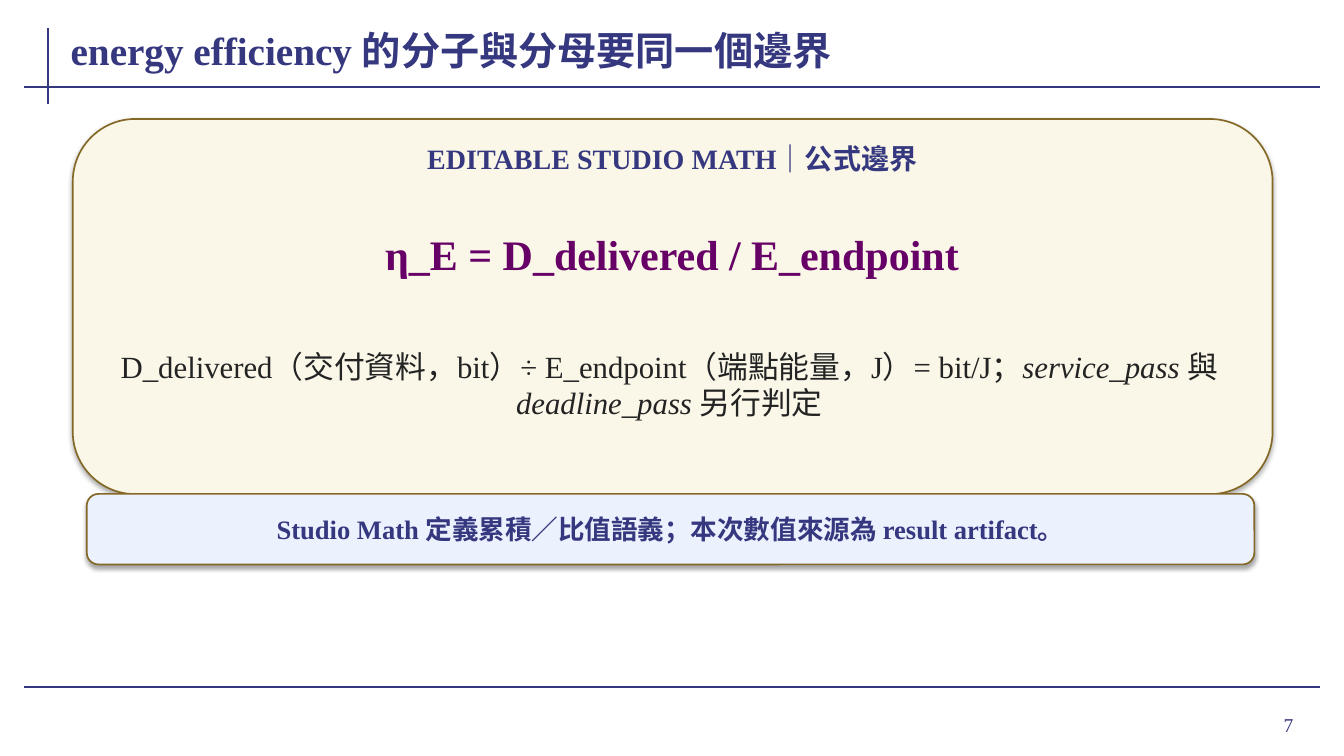
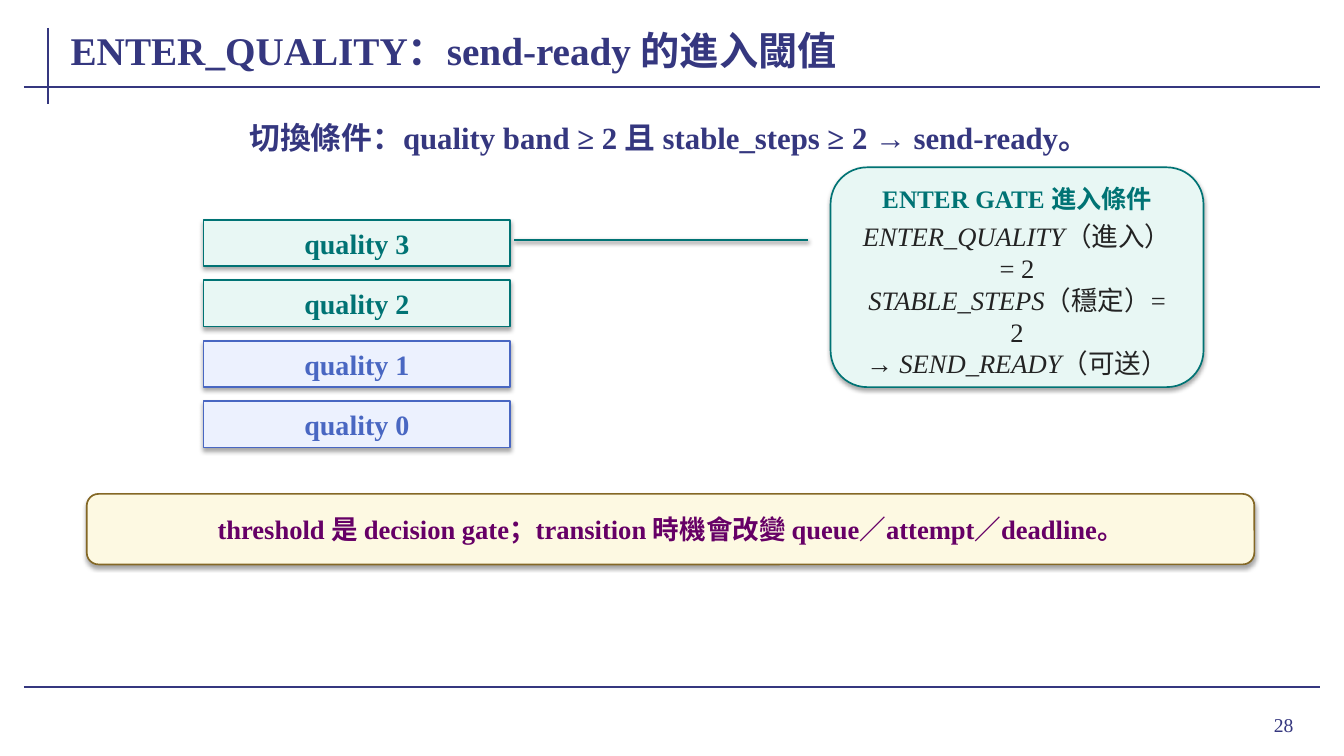
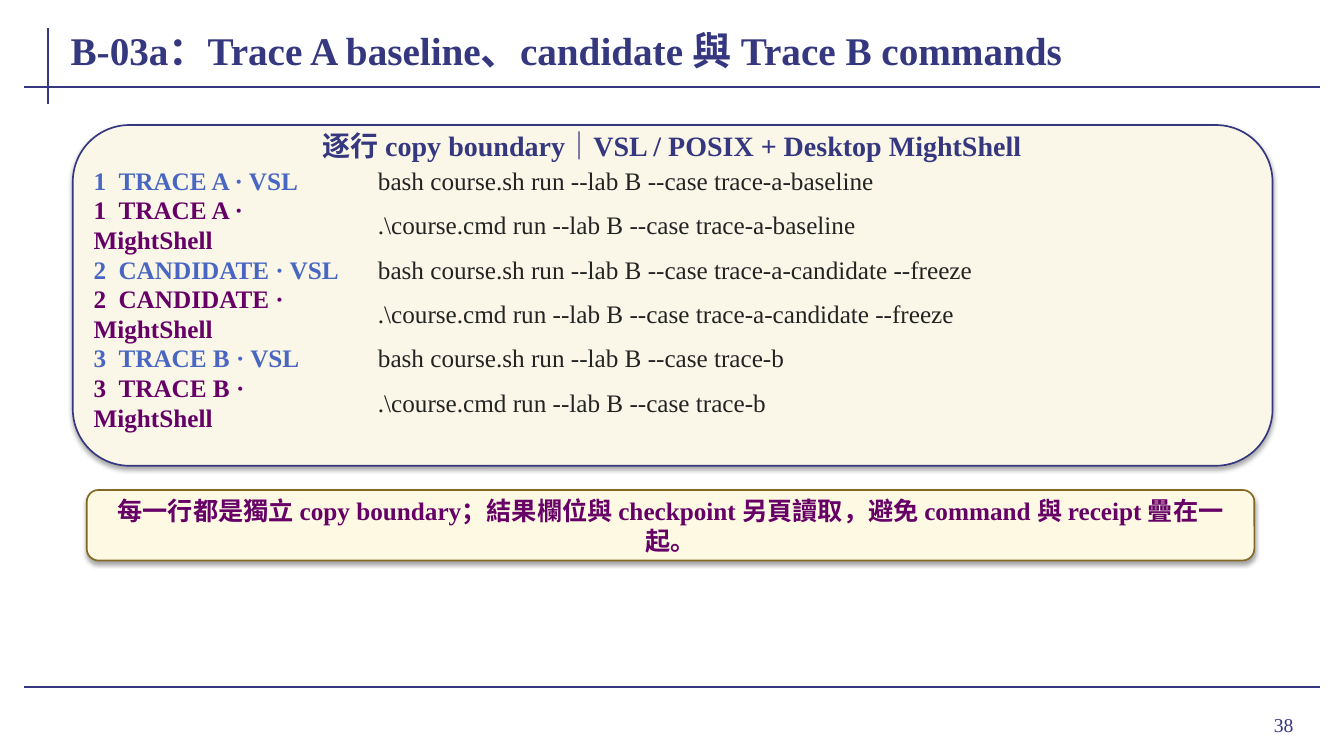
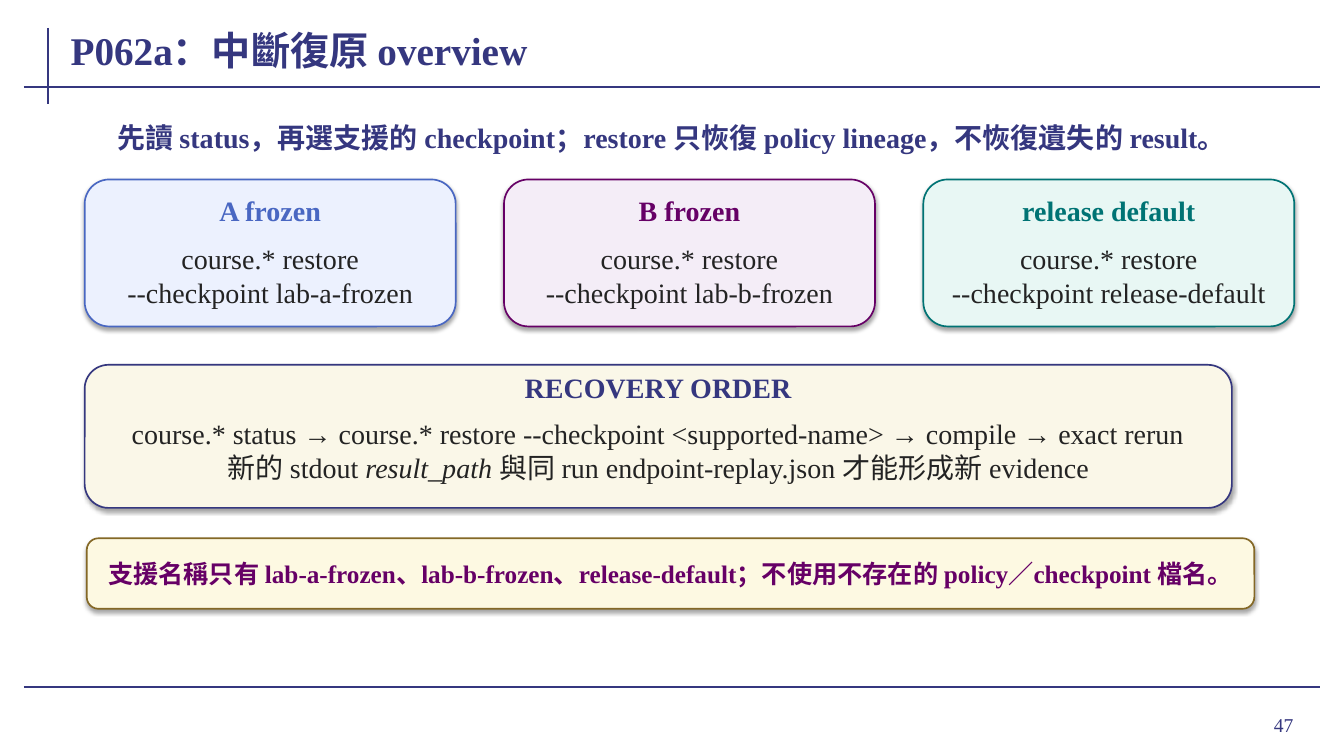
from lxml import etree
from pptx import Presentation
from pptx.dml.color import RGBColor
from pptx.enum import shapes, text
from pptx.oxml import ns
from pptx.util import Pt

FONT = "Times New Roman"
NAVY, PLUM, TEAL, BLUE = "35377F", "660066", "007374", "4967C2"
GOLD, INK = "846826", "232323"
CREAM, BUTTER, SKY, MINT, LILAC = "FAF7E8", "FDF9E2", "ECF1FE", "E8F7F4", "F4EDF7"
ROUND, RECT = shapes.MSO_SHAPE.ROUNDED_RECTANGLE, shapes.MSO_SHAPE.RECTANGLE
LEFT, CENTER, RIGHT = text.PP_ALIGN.LEFT, text.PP_ALIGN.CENTER, text.PP_ALIGN.RIGHT
WIDE, TIGHT, TITLE_INSET, BAND_INSET = (5.76, 2.88), (0.72, 0), (1.44, 0), (12, 0)

# Content: text between bars is italic
TITLES = [
    (7, "energy efficiency 的分子與分母要同一個邊界"),
    (28, "ENTER_QUALITY：send-ready 的進入閾值"),
    (38, "B-03a：Trace A baseline、candidate 與 Trace B commands"),
    (47, "P062a：中斷復原 overview"),
]
FORMULA_LABEL = "EDITABLE STUDIO MATH｜公式邊界"
FORMULA = "η_E = D_delivered / E_endpoint"
FORMULA_NOTE = ("D_delivered（交付資料，bit）÷ E_endpoint（端點能量，J）= bit/J；"
                "|service_pass| 與 |deadline_pass| 另行判定")
FORMULA_BAND = "Studio Math 定義累積／比值語義；本次數值來源為 result artifact。"

GATE_RULE = "切換條件：quality band ≥ 2 且 stable_steps ≥ 2 → send-ready。"
LEVELS = [("quality 3", MINT, TEAL), ("quality 2", MINT, TEAL),
          ("quality 1", SKY, BLUE), ("quality 0", SKY, BLUE)]
GATE_HEADING = "ENTER GATE 進入條件"
GATE_BODY = ("|ENTER_QUALITY|（進入）= 2\n|STABLE_STEPS|（穩定）= 2\n"
             "→ |SEND_READY|（可送）")
GATE_BAND = "threshold 是 decision gate；transition 時機會改變 queue／attempt／deadline。"

COMMANDS_HEADING = "逐行 copy boundary｜VSL / POSIX + Desktop MightShell"
SHELLS = [("VSL", "bash course.sh", BLUE), ("MightShell", ".\\course.cmd", PLUM)]
CASES = [("TRACE A", "trace-a-baseline"),
         ("CANDIDATE", "trace-a-candidate --freeze"),
         ("TRACE B", "trace-b")]
COMMANDS_BAND = ("每一行都是獨立 copy boundary；結果欄位與 checkpoint 另頁讀取，"
                 "避免 command 與 receipt 疊在一起。")

RESTORE_RULE = ("先讀 status，再選支援的 checkpoint；restore 只恢復 policy lineage，"
                "不恢復遺失的 result。")
CHECKPOINTS = [("A frozen", "lab-a-frozen", SKY, BLUE),
               ("B frozen", "lab-b-frozen", LILAC, PLUM),
               ("release default", "release-default", MINT, TEAL)]
ORDER_HEADING = "RECOVERY ORDER"
ORDER_BODY = ("course.* status → course.* restore --checkpoint <supported-name> → compile "
              "→ exact rerun\n新的 stdout |result_path| 與同 run endpoint-replay.json "
              "才能形成新 evidence")
RESTORE_BAND = ("支援名稱只有 lab-a-frozen、lab-b-frozen、release-default；"
                "不使用不存在的 policy／checkpoint 檔名。")


# Drawing helpers
def rgb(value):
    return RGBColor.from_string(value)


def points(*values):
    return [Pt(value) for value in values]


def write(frame, words, size=20, color=INK, bold=False, align=CENTER, inset=TIGHT,
          tab=None, grow=False):
    frame.auto_size = (text.MSO_AUTO_SIZE.SHAPE_TO_FIT_TEXT if grow
                       else text.MSO_AUTO_SIZE.NONE)
    frame.word_wrap = True
    frame.vertical_anchor = text.MSO_ANCHOR.MIDDLE
    frame.margin_left = frame.margin_right = Pt(inset[0])
    frame.margin_top = frame.margin_bottom = Pt(inset[1])
    for index, line in enumerate(words.split("\n")):
        para = frame.add_paragraph() if index else frame.paragraphs[0]
        para.alignment = align
        if tab:
            tabs = etree.SubElement(para._p.get_or_add_pPr(), ns.qn("a:tabLst"))
            etree.SubElement(tabs, ns.qn("a:tab"), pos=str(Pt(tab)), algn="l")
        for part, piece in enumerate(line.split("|")):
            if piece:
                span = para.add_run()
                span.text = piece
                font = span.font
                font.name, font.size, font.bold = FONT, Pt(size), bold
                font.italic = part % 2 == 1
                font.color.rgb = rgb(color)


def label(page, area, words, **style):
    box = page.shapes.add_textbox(*points(*area))
    write(box.text_frame, words, grow=True, **style)


def set_shadow(shape, alpha=0, distance=1.8):
    effects = etree.SubElement(shape.element.spPr, ns.qn("a:effectLst"))
    if alpha:
        shadow = etree.SubElement(effects, ns.qn("a:outerShdw"), blurRad=str(Pt(3.1)),
                                  dist=str(Pt(distance)), dir="5400000", rotWithShape="0")
        color = etree.SubElement(shadow, ns.qn("a:srgbClr"), val="000000")
        etree.SubElement(color, ns.qn("a:alpha"), val=str(alpha * 1000))


def panel(page, area, fill, edge, kind=ROUND):
    shape = page.shapes.add_shape(kind, *points(*area))
    shape.fill.solid()
    shape.fill.fore_color.rgb = rgb(fill)
    shape.line.color.rgb = rgb(edge)
    shape.line.width = Pt(1.2)
    set_shadow(shape, 35)
    return shape


def rule(page, ends, color=NAVY, width=1.5, **shadow):
    line = page.shapes.add_connector(shapes.MSO_CONNECTOR.STRAIGHT, *points(*ends))
    line.line.color.rgb = rgb(color)
    line.line.width = Pt(width)
    set_shadow(line, **shadow)
    return line


def band(page, top, words, fill=BUTTER, color=PLUM, size=19):
    shape = panel(page, (62, top, 834, 50.4), fill, GOLD)
    write(shape.text_frame, words, size=size, color=color, bold=True, inset=BAND_INSET)


def card(page, area, heading, body, fill, color, sizes=(20, 20)):
    left, top, width, height = area
    panel(page, area, fill, color)
    label(page, (left + 13, top + 11.5, width - 26, 21.6), heading,
          size=sizes[0], color=color, bold=True)
    label(page, (left + 14.4, top + 41.8, width - 28.8, height - 51.8), body,
          size=sizes[1], inset=WIDE)


# Slides
def draw_formula(page):
    panel(page, (52, 85, 857, 268), CREAM, GOLD)
    label(page, (73.4, 102.2, 813.6, 21.6), FORMULA_LABEL, color=NAVY, bold=True, inset=WIDE)
    label(page, (72, 151.2, 816.5, 60.5), FORMULA, size=30, color=PLUM, bold=True, inset=WIDE)
    label(page, (77.8, 243.4, 800.6, 62), FORMULA_NOTE, size=22, inset=WIDE)
    band(page, 352.8, FORMULA_BAND, fill=SKY, color=NAVY)


def draw_gate(page):
    label(page, (72, 85, 812, 26), GATE_RULE, size=22, color=NAVY, bold=True, inset=WIDE)
    for index, (name, fill, color) in enumerate(LEVELS):
        level = panel(page, (145.5, 157 + 43.2 * index, 219, 33), fill, color, RECT)
        write(level.text_frame, name, color=color, bold=True)
    rule(page, (367.2, 171.4, 577.4, 171.4), TEAL, 2, alpha=38, distance=1.6)
    card(page, (593.3, 119.5, 266.4, 157), GATE_HEADING, GATE_BODY, MINT, TEAL, (18, 19))
    band(page, 352.8, GATE_BAND)


def draw_commands(page):
    panel(page, (52, 89.3, 857, 243.4), CREAM, NAVY)
    label(page, (67.7, 95, 825, 17.3), COMMANDS_HEADING, color=NAVY, bold=True)
    top = 118
    for number, (case, option) in enumerate(CASES, 1):
        for shell, program, color in SHELLS:
            label(page, (66.2, top, 191.5, 21.6), f"{number}\t{case} · {shell}",
                  size=18, color=color, bold=True, align=LEFT, tab=17.8)
            label(page, (269.3, top, 648, 21.6), f"{program} run --lab B --case {option}",
                  size=18, align=LEFT)
            top += 31.7
    band(page, 350, COMMANDS_BAND, size=18)


def draw_restore(page):
    label(page, (63.4, 85, 832.3, 26), RESTORE_RULE, color=NAVY, bold=True, inset=WIDE)
    for index, (name, checkpoint, fill, color) in enumerate(CHECKPOINTS):
        card(page, (60.5 + 299.5 * index, 128.2, 265, 105), name,
             f"course.* restore\n--checkpoint {checkpoint}", fill, color)
    panel(page, (60.5, 260.6, 819.4, 102.2), CREAM, NAVY)
    label(page, (73.4, 267.8, 793.4, 18), ORDER_HEADING, color=NAVY, bold=True)
    label(page, (76.3, 288, 787.7, 67.7), ORDER_BODY)
    band(page, 384.5, RESTORE_BAND, size=18)


# Shared layout: title place and frame lines
def prepare_layout(layout, page):
    for holder in list(layout.placeholders):
        if holder.placeholder_format.type == shapes.PP_PLACEHOLDER.TITLE:
            holder.left, holder.top, holder.width, holder.height = points(49, 13, 860, 44.6)
        else:
            holder.element.getparent().remove(holder.element)
    for ends in [(34, 20, 34, 74), (17, 62, 943, 62), (17, 491, 943, 491)]:
        layout.shapes.element.append(rule(page, ends).element)


def main():
    deck = Presentation()
    deck.slide_width, deck.slide_height = points(960, 540)
    layout = deck.slide_layouts.get_by_name("Title Only")
    drawers = [draw_formula, draw_gate, draw_commands, draw_restore]
    for index, ((number, title), draw) in enumerate(zip(TITLES, drawers)):
        page = deck.slides.add_slide(layout)
        if index == 0:
            prepare_layout(layout, page)
        write(page.shapes.title.text_frame, title, size=28, color=NAVY, bold=True,
              align=LEFT, inset=TITLE_INSET)
        draw(page)
        label(page, (861, 499, 70, 37.4), str(number), size=14, color=NAVY,
              align=RIGHT, inset=(7.2, 3.6))
    deck.save("out.pptx")


if __name__ == "__main__":
    main()
